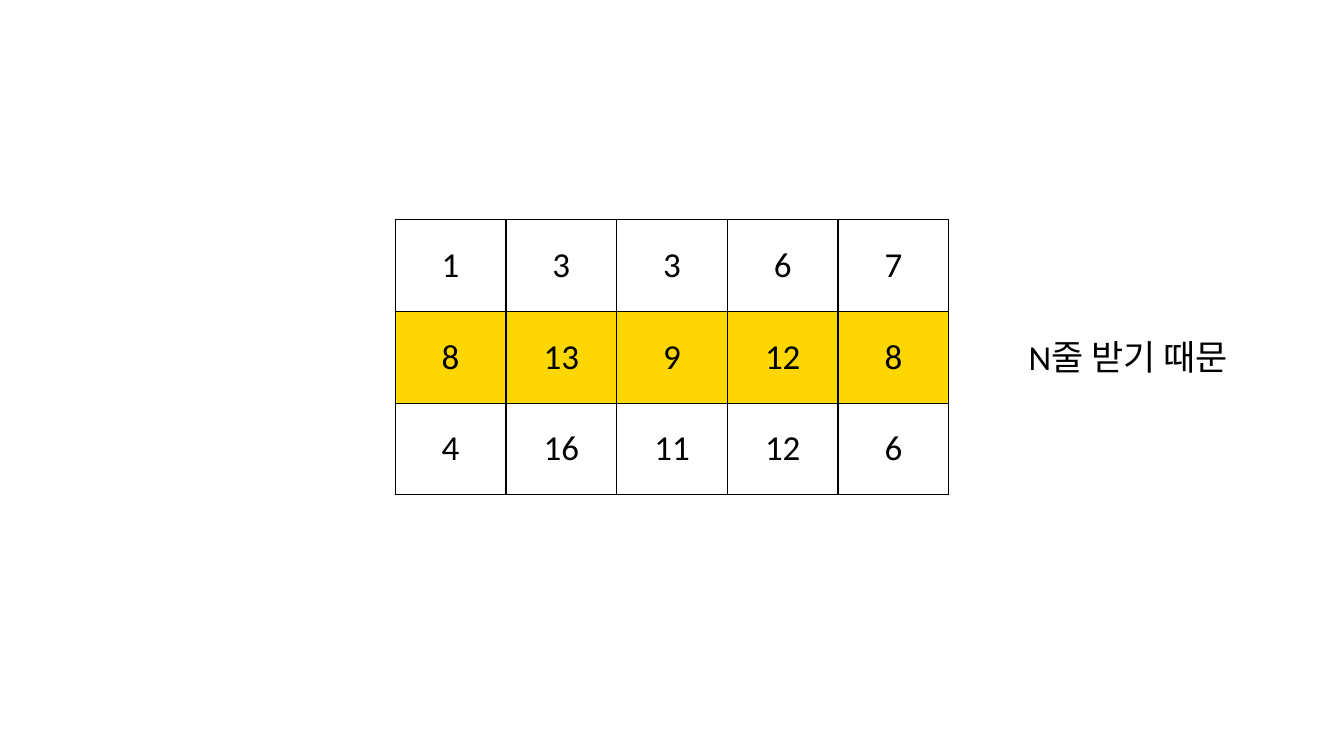
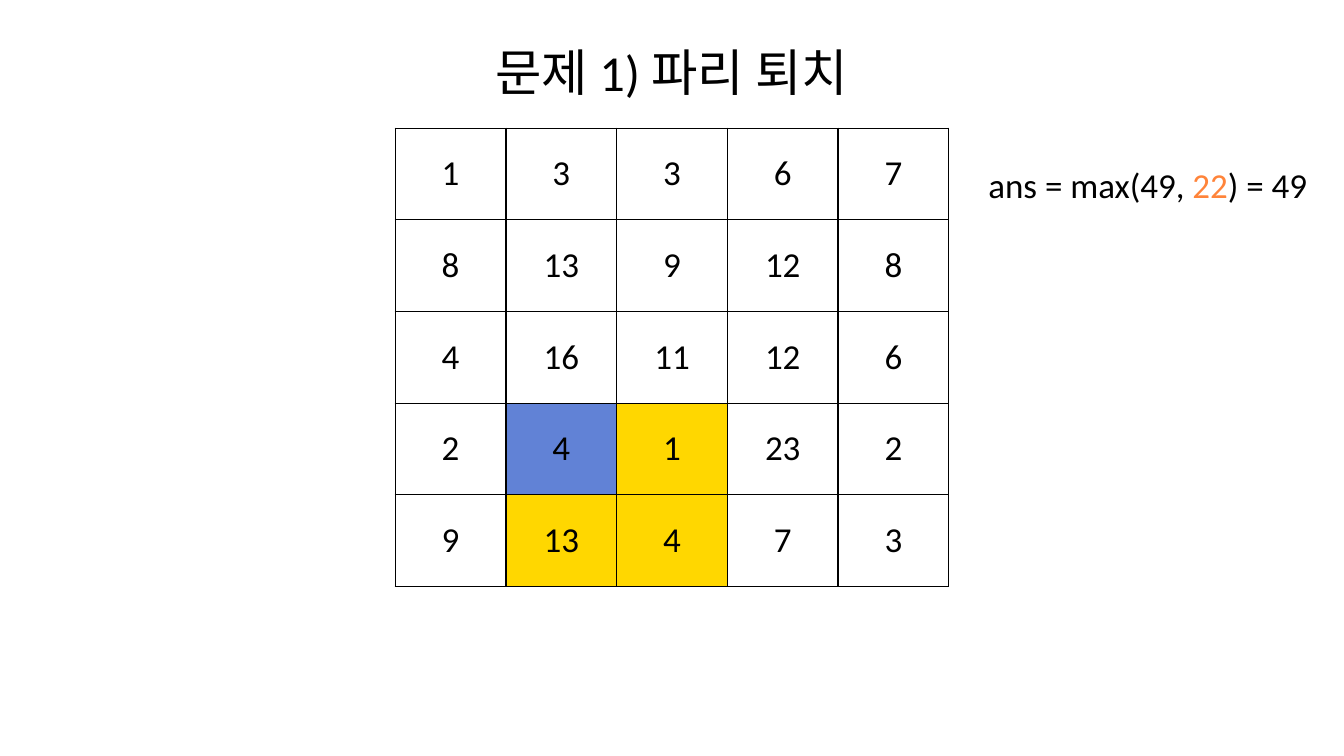
import pptx
import pptx.dml.color
import pptx.enum.text
import pptx.oxml
import pptx.oxml.ns
import pptx.util

Cm = pptx.util.Cm
RGBColor = pptx.dml.color.RGBColor
Align = pptx.enum.text.PP_ALIGN
Anchor = pptx.enum.text.MSO_ANCHOR

BLACK = RGBColor(0x00, 0x00, 0x00)
GOLD = RGBColor(0xFF, 0xD7, 0x00)
BLUE = RGBColor(0x61, 0x82, 0xD6)
ORANGE = RGBColor(0xFF, 0x84, 0x3A)

NUMBERS = [
    [1, 3, 3, 6, 7],
    [8, 13, 9, 12, 8],
    [4, 16, 11, 12, 6],
    [2, 4, 1, 23, 2],
    [9, 13, 4, 7, 3],
]


class Deck:
    font_name = "Calibri"
    body_size = pptx.util.Pt(25)
    title_size = pptx.util.Pt(36)
    grid_left = Cm(9.96)
    cell_width = Cm(2.79)
    cell_height = Cm(2.31)

    def __init__(self):
        self.presentation = pptx.Presentation()
        self.presentation.slide_width = Cm(33.87)
        self.presentation.slide_height = Cm(19.05)
        self.slide = None

    def new_slide(self):
        blank_layout = self.presentation.slide_layouts[6]
        self.slide = self.presentation.slides.add_slide(blank_layout)

    def style_run(self, run, size, color=BLACK):
        run.font.name = self.font_name
        run.font.size = size
        run.font.color.rgb = color

    def text(self, left, top, width, height, pieces, size=body_size,
             align=Align.CENTER, anchor=Anchor.TOP):
        """Add one line of text made of (words, colour) pieces."""
        box = self.slide.shapes.add_textbox(left, top, width, height)
        frame = box.text_frame
        frame.word_wrap = True
        frame.vertical_anchor = anchor
        paragraph = frame.paragraphs[0]
        paragraph.alignment = align
        for words, color in pieces:
            run = paragraph.add_run()
            run.text = words
            self.style_run(run, size, color)

    def title(self, words):
        self.text(Cm(1.69), Cm(1.02), Cm(30.48), Cm(1.57), [(words, BLACK)],
                  size=self.title_size, anchor=Anchor.MIDDLE)

    def border(self, cell):
        properties = cell._tc.get_or_add_tcPr()
        for side in ("lnL", "lnR", "lnT", "lnB"):
            properties.append(pptx.oxml.parse_xml(
                f'<a:{side} {pptx.oxml.ns.nsdecls("a")} w="12700">'
                f'<a:solidFill><a:srgbClr val="{BLACK}"/></a:solidFill>'
                f'</a:{side}>'))

    def grid(self, top, rows, fills):
        """Add a number table; fills maps (row, column) to a colour."""
        row_count, column_count = len(rows), len(rows[0])
        table = self.slide.shapes.add_table(
            row_count, column_count, self.grid_left, top,
            self.cell_width * column_count,
            self.cell_height * row_count).table
        table.first_row = False
        table.horz_banding = False
        for row_index, row in enumerate(rows):
            for column_index, number in enumerate(row):
                cell = table.cell(row_index, column_index)
                self.border(cell)
                color = fills.get((row_index, column_index))
                if color is None:
                    cell.fill.background()
                else:
                    cell.fill.solid()
                    cell.fill.fore_color.rgb = color
                cell.vertical_anchor = Anchor.MIDDLE
                cell.text_frame.text = str(number)
                paragraph = cell.text_frame.paragraphs[0]
                paragraph.alignment = Align.CENTER
                self.style_run(paragraph.runs[0], self.body_size)


def main():
    deck = Deck()

    deck.new_slide()
    deck.grid(Cm(5.54), NUMBERS[:3], {(1, column): GOLD for column in range(5)})
    deck.text(Cm(25.37), Cm(8.33), Cm(6.12), Cm(1.32),
              [("N줄 받기 때문", BLACK)])

    deck.new_slide()
    deck.title("문제 1) 파리 퇴치")
    deck.grid(Cm(3.23), NUMBERS,
              {(3, 1): BLUE, (3, 2): GOLD, (4, 1): GOLD, (4, 2): GOLD})
    deck.text(Cm(24.66), Cm(3.99), Cm(8.84), Cm(1.3),
              [("ans = max(49, ", BLACK), ("22", ORANGE), (") = 49", BLACK)],
              align=Align.LEFT)

    deck.presentation.save("out.pptx")


if __name__ == "__main__":
    main()
